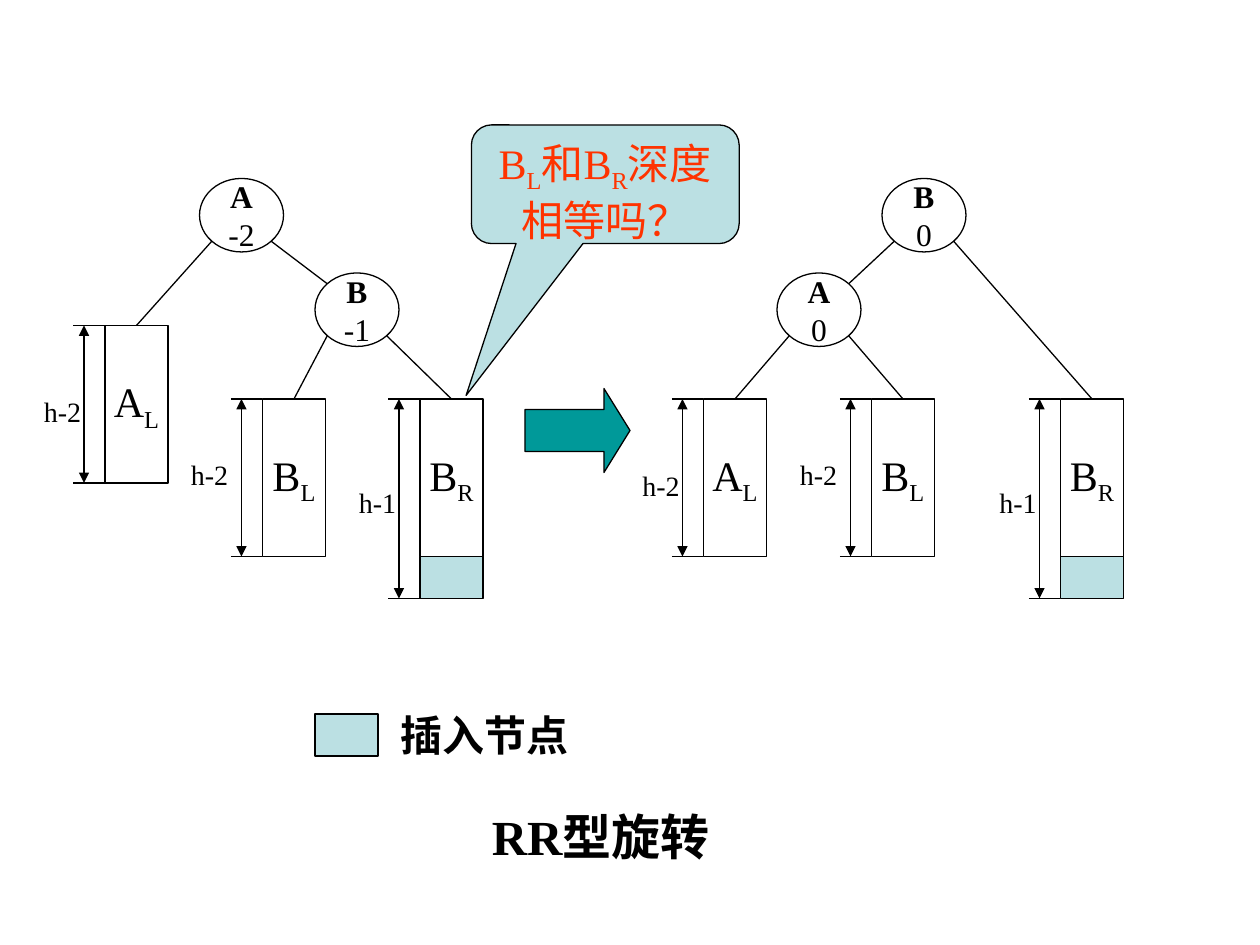
from dataclasses import dataclass

from lxml import etree
from pptx import Presentation
from pptx import util as u
from pptx.dml.color import RGBColor
from pptx.enum import shapes, text
from pptx.oxml.ns import qn


@dataclass(frozen=True)
class Theme:
    font: str = "Times New Roman"
    ink: str = "000000"
    tint: str = "BBE0E3"
    arrow: str = "009999"
    question: str = "FF3300"
    line: float = 0.75
    node: int = 18
    body: int = 24
    label: int = 16
    title: int = 28


T = Theme()
GRID = 2.54 / 12  # cm; everything sits on a grid of twelve steps to the inch
NODE_W, NODE_H = 8, 7
BOX_W, BOX_H, INSERT_H = 6, 15, 4
CENTER = text.PP_ALIGN.CENTER
MIDDLE = text.MSO_ANCHOR.MIDDLE


def g(n):
    """Length of n grid steps."""
    return u.Cm(n * GRID)


def write(tf, paragraphs, size, color=T.ink, align=None, **frame):
    """Fill a text frame; a paragraph is a list of (text, bold, subscript)."""
    margins = dict(margin_left=u.Cm(0.25), margin_right=u.Cm(0.25),
                   margin_top=u.Cm(0.13), margin_bottom=u.Cm(0.13))
    for name, value in {**margins, "word_wrap": True, **frame}.items():
        setattr(tf, name, value)
    for i, runs in enumerate(paragraphs):
        p = tf.add_paragraph() if i else tf.paragraphs[0]
        p.alignment = align
        for content, bold, subscript in runs:
            r = p.add_run()
            r.text = content
            for name, value in dict(name=T.font, size=u.Pt(size), bold=bold).items():
                setattr(r.font, name, value)
            r.font.color.rgb = RGBColor.from_string(color)
            if subscript:
                r._r.get_or_add_rPr().set("baseline", "-25000")


def shape(s, kind, x, y, w, h, fill=None):
    sp = s.shapes.add_shape(kind, g(x), g(y), g(w), g(h))
    sp.shadow.inherit = False
    if fill:
        sp.fill.solid()
        sp.fill.fore_color.rgb = RGBColor.from_string(fill)
    else:
        sp.fill.background()
    sp.line.color.rgb = RGBColor.from_string(T.ink)
    sp.line.width = u.Pt(T.line)
    return sp


def rect(s, x, y, w, h, fill=None):
    return shape(s, shapes.MSO_SHAPE.RECTANGLE, x, y, w, h, fill)


def line(s, start, end, arrows=False):
    cx = s.shapes.add_connector(shapes.MSO_CONNECTOR.STRAIGHT, *map(g, start + end))
    cx.line.color.rgb = RGBColor.from_string(T.ink)
    cx.line.width = u.Pt(T.line)
    if arrows:
        for tag in ("a:headEnd", "a:tailEnd"):
            etree.SubElement(cx.line._get_or_add_ln(), qn(tag), type="triangle")
    etree.SubElement(cx._element.spPr, qn("a:effectLst"))
    return cx


def label(s, x, y, w, h, content, size, bold=False):
    tb = s.shapes.add_textbox(g(x), g(y), g(w), g(h))
    write(tb.text_frame, [[(content, bold, False)]], size)


def rim(node, right, down):
    """Point on a node's ellipse at 45 degrees; right and down are 1 or -1."""
    x, y = node
    k = 0.5 ** 0.5
    return (x + NODE_W / 2 * (1 + right * k), y + NODE_H / 2 * (1 + down * k))


def tree_node(s, x, y, name, balance):
    sp = shape(s, shapes.MSO_SHAPE.OVAL, x, y, NODE_W, NODE_H)
    write(sp.text_frame, [[(name, True, False)], [(balance, False, False)]], T.node,
          align=CENTER, word_wrap=False, vertical_anchor=MIDDLE)


def subtree(s, x, y, name, side, height, label_at, inserted=False):
    """Subtree box with its height dimension on the left."""
    sp = rect(s, x, y, BOX_W, BOX_H)
    write(sp.text_frame, [[(name, False, False), (side, False, True)]], T.body,
          align=CENTER, word_wrap=False, vertical_anchor=MIDDLE)
    bottom = y + BOX_H
    if inserted:
        rect(s, x, bottom, BOX_W, INSERT_H, T.tint)
        bottom += INSERT_H
    for level in (y, bottom):
        line(s, (x - 3, level), (x, level))
    line(s, (x - 2, y), (x - 2, bottom), arrows=True)
    dx, dy = label_at
    label(s, x + dx, y + dy, 6, 4.4, height, T.label)
    return sp


def tree(s, x, y, nodes, boxes):
    """Root and child nodes; boxes are (parent, direction, dx, dy, subtree values)."""
    at = [(x + dx, y + dy) for dx, dy, *_ in nodes]
    for (nx, ny), (_, _, name, balance) in zip(at, nodes):
        tree_node(s, nx, ny, name, balance)
    root, child = at
    way = 1 if child[0] > root[0] else -1
    line(s, rim(root, way, 1), rim(child, -way, -1))
    for parent, way, dx, dy, values in boxes:
        sp = subtree(s, x + dx, y + dy, *values)
        edge = line(s, rim(at[parent], way, 1), (x + dx + BOX_W / 2, y + dy))
        edge.end_connect(sp, 0)


def rotation_arrow(s, x, y, w, h):
    sp = shape(s, shapes.MSO_SHAPE.RIGHT_ARROW, x, y, w, h, T.arrow)
    sp.adjustments[1] = 0.31


def legend(s, x, y):
    rect(s, x, y + 1, BOX_W, INSERT_H, T.tint)
    label(s, x + 7, y, 29, 6, "插入节点", T.body, bold=True)


def question(s, x, y, w, h):
    sp = shape(s, shapes.MSO_SHAPE.ROUNDED_RECTANGULAR_CALLOUT, x, y, w, h, T.tint)
    for i, value in enumerate((-0.52, 1.78, 0.17)):
        sp.adjustments[i] = value
    runs = [("B", False, False), ("L", False, True), ("和B", False, False),
            ("R", False, True), ("深度相等吗？", False, False)]
    write(sp.text_frame, [runs], T.body, T.question, CENTER,
          vertical_anchor=text.MSO_ANCHOR.TOP)


def title(s, x, y, w, h):
    sp = s.shapes.title
    for name, value in dict(left=x, top=y, width=w, height=h).items():
        setattr(sp, name, g(value))
    write(sp.text_frame, [[("RR型旋转", True, False)]], T.title, align=CENTER,
          vertical_anchor=text.MSO_ANCHOR.TOP, auto_size=text.MSO_AUTO_SIZE.NONE)


def main():
    prs = Presentation()
    prs.slide_width, prs.slide_height = u.Cm(25.4), u.Cm(19.05)
    s = prs.slides.add_slide(prs.slide_layouts[5])

    a_left = ("A", "L", "h-2", (-7, 6))
    b_left = ("B", "L", "h-2", (-8, 5))
    b_right = ("B", "R", "h-1", (-7, 7.6), True)
    tree(s, 3, 17, [(16, 0, "A", "-2"), (27, 9, "B", "-1")],
         [(0, -1, 7, 14, a_left), (1, -1, 22, 21, b_left), (1, 1, 37, 21, b_right)])
    rotation_arrow(s, 50, 37, 10, 8)
    tree(s, 60, 17, [(24, 0, "B", "0"), (14, 9, "A", "0")],
         [(1, -1, 7, 21, a_left), (1, 1, 23, 21, b_left), (0, 1, 41, 21, b_right)])
    legend(s, 30, 67)
    title(s, 29.8, 76.2, 54.8, 6.8)
    question(s, 44.9, 11.9, 25.5, 11.3)
    prs.save("out.pptx")


if __name__ == "__main__":
    main()
